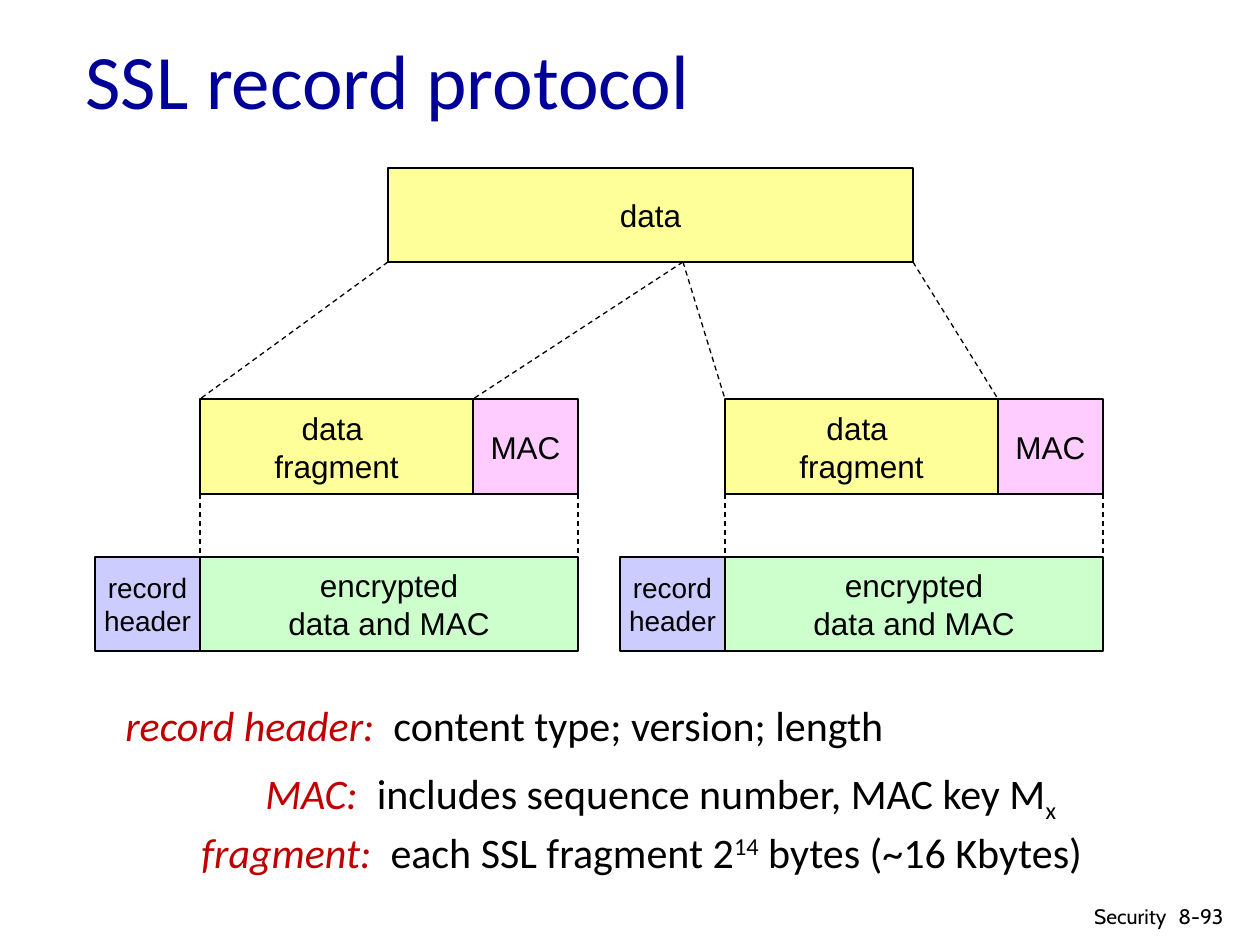
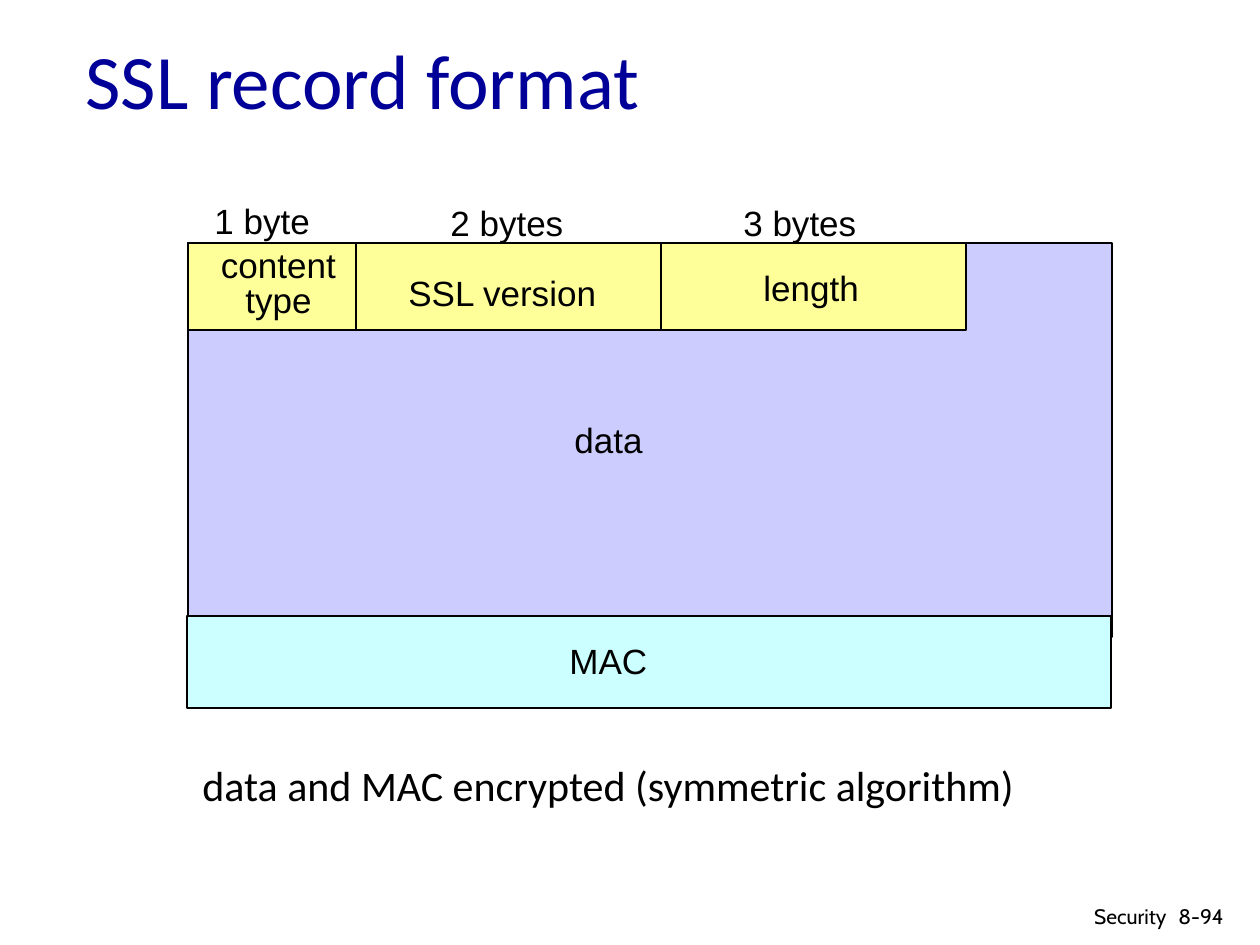
from pptx import Presentation
from pptx.dml.color import RGBColor as Rgb
from pptx.enum.dml import MSO_LINE as Dash
from pptx.enum.shapes import MSO_CONNECTOR as Conn, MSO_SHAPE as Kind
from pptx.enum.text import MSO_ANCHOR as Anchor, PP_ALIGN as Align
from pptx.oxml.ns import qn
from pptx.util import Emu, Pt
from lxml.etree import SubElement

HUES = {
    "ink": "000000", "title": "000099", "term": "C00000",
    "yellow": "FFFF99", "pink": "FFCCFF", "green": "CCFFCC",
    "lilac": "CCCCFF", "cyan": "CCFFFF",
}
SANS, BODY, FOOT = "Arial", "Calibri", "Cabin"


def px(n):
    return Emu(round(n * 914400 / 126))


def hue(name):
    return Rgb.from_string(HUES[name])


def style(para, size, face, color="ink", align=Align.LEFT):
    para.alignment = align
    para.font.size = Pt(size)
    para.font.name = face
    para.font.color.rgb = hue(color)


def write(frame, lines, size, face, align=Align.LEFT, pitch=None):
    for i, line in enumerate(lines):
        para = frame.add_paragraph() if i else frame.paragraphs[0]
        para.add_run().text = line
        style(para, size, face, align=align)
        if pitch:
            para.line_spacing = Pt(pitch)


def add_box(slide, x, y, w, h, fill, lines=(), size=18):
    box = slide.shapes.add_shape(Kind.RECTANGLE, px(x), px(y), px(w), px(h))
    box.shadow.inherit = False
    box.fill.solid()
    box.fill.fore_color.rgb = hue(fill)
    box.line.color.rgb = hue("ink")
    box.line.width = Pt(0.75)
    frame = box.text_frame
    frame.word_wrap = False
    frame.vertical_anchor = Anchor.MIDDLE
    write(frame, lines, size, SANS, Align.CENTER)


def add_dash(slide, x1, y1, x2, y2):
    line = slide.shapes.add_connector(Conn.STRAIGHT, px(x1), px(y1), px(x2), px(y2))
    line.line.color.rgb = hue("ink")
    line.line.width = Pt(0.75)
    line.line.dash_style = Dash.DASH
    SubElement(line._element.spPr, qn("a:effectLst"))


def add_frame(slide, x, y, w, h, wrap=False):
    frame = slide.shapes.add_textbox(px(x), px(y), px(w), px(h)).text_frame
    frame.word_wrap = wrap
    return frame


def add_label(slide, x, y, w, text):
    write(add_frame(slide, x, y, w, 55), [text], 20, SANS)


def add_note(slide, x, y, w, term, parts):
    para = add_frame(slide, x, y, w, 64).paragraphs[0]
    style(para, 24, BODY)
    if term:
        run = para.add_run()
        run.text = term
        run.font.italic = True
        run.font.color.rgb = hue("term")
    for text, shift in parts:
        run = para.add_run()
        run.text = text
        if shift:
            run._r.get_or_add_rPr().set("baseline", str(shift * 1000))


def add_slide(deck, title, page):
    slide = deck.slides.add_slide(deck.slide_layouts[5])
    head = slide.shapes.title
    head.left, head.top, head.width, head.height = px(73), px(0), px(1071), px(158)
    head.text_frame.text = title
    head.text_frame.vertical_anchor = Anchor.MIDDLE
    style(head.text_frame.paragraphs[0], 44, BODY, "title")
    write(add_frame(slide, 1166, 897, 94, 38, True), [page], 12, FOOT)
    write(add_frame(slide, 1079, 897, 100, 35, True), ["Security"], 12, FOOT, Align.RIGHT)
    return slide


def add_record(slide, x, tops):
    left, mid, right = x + 105, x + 378, x + 483
    add_box(slide, left, 399, 273, 95, "yellow", ["data ", "fragment"])
    add_box(slide, mid, 399, 105, 95, "pink", ["MAC"])
    add_box(slide, left, 557, 378, 94, "green", ["encrypted", "data and MAC"])
    add_box(slide, x, 557, 105, 94, "lilac", ["record", "header"], 16)
    for edge in (left, right):
        add_dash(slide, edge, 494, edge, 557)
    for top, end in zip(tops, (left, mid)):
        add_dash(slide, top, 262, end, 399)


def draw_flow(deck):
    slide = add_slide(deck, "SSL record protocol", "8-93")
    add_box(slide, 388, 168, 525, 94, "yellow", ["data"])
    add_record(slide, 95, (388, 683))
    add_record(slide, 620, (683, 913))
    add_note(slide, 113, 693, 784, "record header:  ",
             [("content type; version; length", 0)])
    add_note(slide, 253, 761, 816, "MAC:  ",
             [("includes sequence number, MAC key M", 0), ("x", -25)])
    add_note(slide, 189, 820, 906, "fragment:  ",
             [("each SSL fragment 2", 0), ("14", 30), (" bytes (~16 Kbytes)", 0)])


def draw_format(deck):
    slide = add_slide(deck, "SSL record format", "8-94")
    add_box(slide, 188, 243, 924, 394, "lilac")
    x = 188
    for w in (168, 305, 305):
        add_box(slide, x, 243, w, 87, "yellow")
        x += w
    add_box(slide, 187, 616, 924, 92, "cyan")
    write(add_frame(slide, 208, 244, 141, 83), ["content", "type"], 20, SANS,
          Align.CENTER, 20)
    for x, y, w, text in (
        (396, 265, 214, "SSL version"), (751, 260, 122, "length"),
        (557, 633, 105, "MAC"), (562, 412, 95, "data"),
        (202, 193, 122, "1 byte"), (438, 195, 139, "2 bytes"),
        (731, 195, 139, "3 bytes"),
    ):
        add_label(slide, x, y, w, text)
    add_note(slide, 190, 753, 851, "",
             [("data and MAC encrypted (symmetric algorithm)", 0)])


def main():
    deck = Presentation()
    deck.slide_width, deck.slide_height = px(1260), px(945)
    draw_flow(deck)
    draw_format(deck)
    deck.save("out.pptx")


if __name__ == "__main__":
    main()
